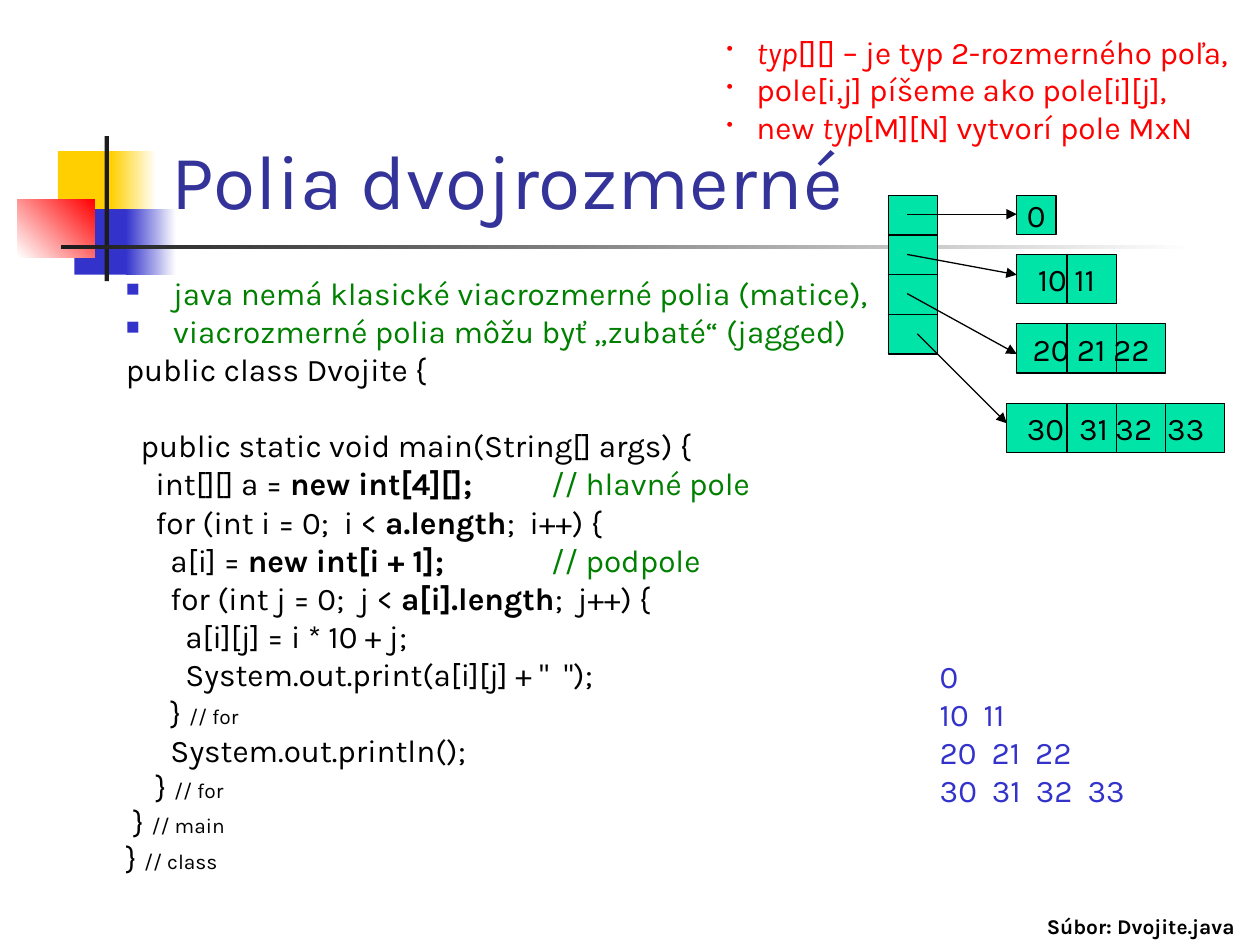
from lxml.etree import SubElement
from pptx import Presentation
from pptx.dml.color import RGBColor
from pptx.enum.shapes import MSO_CONNECTOR, MSO_SHAPE
from pptx.enum.text import MSO_ANCHOR, PP_ALIGN
from pptx.oxml.ns import qn
from pptx.util import Pt

BLACK = RGBColor(0, 0, 0)
WHITE = RGBColor(255, 255, 255)
RED = RGBColor(255, 0, 0)
YELLOW = RGBColor(0xFF, 0xCF, 0x01)
BLUE = RGBColor(0x33, 0x33, 0xCC)
NAVY = RGBColor(0x33, 0x33, 0x99)
GREEN = RGBColor(0, 0x80, 0)
MINT = RGBColor(0, 0xE4, 0xA8)
CHARCOAL = RGBColor(0x1C, 0x1C, 0x1C)

BOLD = {"bold": True}
ITALIC = {"italic": True}
SMALL = {"size": Pt(12)}
COMMENT = {"color": GREEN}


class SlideBuilder:
    font = {"name": "Karla", "size": Pt(18), "color": BLACK}

    def __init__(self, slide):
        self.s = slide

    def rect(self, x, y, w, h, fill, fade=None, angle=0, outline=False):
        sp = self.s.shapes.add_shape(MSO_SHAPE.RECTANGLE, Pt(x), Pt(y), Pt(w), Pt(h))
        sp.shadow.inherit = False
        if fade is None:
            sp.fill.solid()
            sp.fill.fore_color.rgb = fill
        else:
            sp.fill.gradient()
            sp.fill.gradient_angle = angle
            for stop, color in zip(sp.fill.gradient_stops, (fill, fade)):
                stop.color.rgb = color
        if outline:
            sp.line.color.rgb = BLACK
            sp.line.width = Pt(0.75)
        else:
            sp.line.fill.background()
        return sp

    def line(self, x1, y1, x2, y2, arrow=False):
        c = self.s.shapes.add_connector(MSO_CONNECTOR.STRAIGHT, Pt(x1), Pt(y1), Pt(x2), Pt(y2))
        c.line.color.rgb = BLACK
        c.line.width = Pt(0.75)
        if arrow:
            SubElement(c.line._get_or_add_ln(), qn("a:tailEnd"), type="triangle")
        SubElement(c._element.spPr, qn("a:effectLst"))

    def runs(self, p, runs, base):
        for text, fmt in runs:
            r = p.add_run()
            r.text = text
            for key, value in {**self.font, **base, **fmt}.items():
                if key == "color":
                    r.font.color.rgb = value
                else:
                    setattr(r.font, key, value)

    def layout(self, p, indent=0, bullet=None, bullet_color=None, tabs=False, **spacing):
        for key, value in spacing.items():
            setattr(p, key, value)
        pPr = p._p.get_or_add_pPr()
        pPr.set("marL", str(Pt(indent)))
        pPr.set("indent", str(-Pt(indent)))
        if bullet:
            color = SubElement(pPr, qn("a:buClr"))
            SubElement(color, qn("a:srgbClr"), val=str(bullet_color))
            SubElement(pPr, qn("a:buSzPct"), val="60000")
            SubElement(pPr, qn("a:buChar"), char=bullet)
        if tabs:
            tab_list = SubElement(pPr, qn("a:tabLst"))
            for i in range(8):
                SubElement(tab_list, qn("a:tab"), pos=str(Pt(72 * i)), algn="l")

    def text(self, x, y, w, h, paragraphs, base, anchor=MSO_ANCHOR.TOP, wrap=True):
        tf = self.s.shapes.add_textbox(Pt(x), Pt(y), Pt(w), Pt(h)).text_frame
        tf.word_wrap = wrap
        tf.vertical_anchor = anchor
        for i, (runs, layout) in enumerate(paragraphs):
            p = tf.add_paragraph() if i else tf.paragraphs[0]
            self.layout(p, **layout)
            self.runs(p, runs, base)

    def array(self, x, y, w, h, label):
        tf = self.rect(x, y, w, h, MINT, outline=True).text_frame
        tf.word_wrap = False
        tf.vertical_anchor = MSO_ANCHOR.MIDDLE
        p = tf.paragraphs[0]
        p.alignment = PP_ALIGN.CENTER
        self.runs(p, [(label, {})], {})


def code_layout(i):
    before = {0: 4.5, 1: 26.3}.get(i, 3 if i >= len(CODE) - 3 else 4.5)
    return {"indent": 27, "line_spacing": 0.8, "space_before": Pt(before), "tabs": True}


INTRO = ["java nemá klasické viacrozmerné polia (matice),",
         "viacrozmerné polia môžu byť „zubaté“ (jagged)"]
CODE = [
    [("public class Dvojite {", {})],
    [("  public static void main(String[] args) {", {})],
    [("    int[][] a = ", {}), ("new int[4][];\t\t", BOLD), ("// hlavné pole", COMMENT)],
    [("    for (int i = 0;  i < ", {}), ("a.length", BOLD), (";  i++) {", {})],
    [("      a[i] = ", {}), ("new int[i + 1]; \t\t", BOLD), ("// podpole", COMMENT)],
    [("      for (int j = 0;  j < ", {}), ("a[i].length", BOLD), (";  j++) {", {})],
    [("        a[i][j] = i * 10 + j;", {})],
    [('        System.out.print(a[i][j] + "  ");', {})],
    [("      } ", {}), ("// for", SMALL)],
    [("      System.out.println();", {})],
    [("    } ", {}), ("// for", SMALL)],
    [(" } ", {}), ("// main", SMALL)],
    [("} ", {}), ("// class", SMALL)],
]
NOTES = [
    [("typ", ITALIC), ("[][] – je typ 2-rozmerného poľa,", {})],
    [("pole[i,j] píšeme ako pole[i][j],", {})],
    [("new ", {}), ("typ", ITALIC), ("[M][N] vytvorí pole MxN", {})],
]
OUTPUT = ["0", "10  11", "20  21  22", "30  31  32  33"]
ARRAYS = [
    (581, 111.6, 22.5, 22.5, "0"),
    (581, 145.4, 56.9, 28.2, "10 11"),
    (581, 185, 85, 28.2, "20 21 22"),
    (575.3, 230.4, 124.6, 28.2, "30  31 32  33"),
]
ARROWS = [
    (518.4, 122.4, 581, 122.4),
    (518.4, 145.4, 581, 157),
    (518.4, 167.8, 581, 202.3),
    (524.2, 190.8, 575.3, 241.9),
]
CELL = 28.2


def decoration(b):
    b.rect(33.1, 86.4, 34.6, 37.4, YELLOW)
    b.rect(63.4, 86.4, 25.9, 37.4, YELLOW, WHITE)
    b.rect(42.5, 119.5, 33.1, 37.4, BLUE)
    b.rect(72, 119.5, 28.8, 37.4, BLUE, WHITE)
    b.rect(10.1, 113.8, 43.9, 33.1, WHITE, RED, angle=45)
    b.rect(59.8, 77.8, 2.5, 82.8, CHARCOAL)
    b.rect(34.6, 140, 648, 2.5, CHARCOAL, WHITE)


def texts(b):
    b.text(90.7, 16.6, 613.4, 115.2, [([("Polia dvojrozmerné", {})], {})],
           {"size": Pt(44), "color": NAVY}, MSO_ANCHOR.BOTTOM)
    body = [([(line, COMMENT)],
             {"indent": 27, "bullet": "■", "bullet_color": BLUE, "line_spacing": 0.8,
              "space_before": Pt(4.5 if i else 0)}) for i, line in enumerate(INTRO)]
    body += [(runs, code_layout(i)) for i, runs in enumerate(CODE)]
    b.text(64.8, 157, 655.2, 368.6, body, {})
    b.text(529.9, 372.2, 152.6, 93.6, [([(line, {})], {}) for line in OUTPUT], {"color": BLUE})
    bullets = {"indent": 17, "bullet": "•", "bullet_color": RED}
    b.text(408.2, 15.1, 311.8, 72, [(runs, bullets) for runs in NOTES], {"color": RED})
    b.text(591.1, 518.4, 126.7, 21.6, [([("Súbor: Dvojite.java", BOLD)], {})], SMALL, wrap=False)


def jagged_array(b):
    left, top, step = 507.6, 111.6, 22.7
    b.rect(left, top, CELL, 4 * step, MINT, outline=True)
    for i in range(1, 4):
        b.line(left, top + i * step, left + CELL, top + i * step)
    for row, (x, y, w, h, label) in enumerate(ARRAYS):
        b.array(x, y, w, h, label)
        for k in range(row):
            divider = 609.8 + k * CELL
            b.line(divider, y, divider, y + h)
    for ends in ARROWS:
        b.line(*ends, arrow=True)


def main():
    prs = Presentation()
    prs.slide_width, prs.slide_height = Pt(720), Pt(540)
    b = SlideBuilder(prs.slides.add_slide(prs.slide_layouts[6]))
    decoration(b)
    texts(b)
    jagged_array(b)
    prs.save("out.pptx")


if __name__ == "__main__":
    main()
